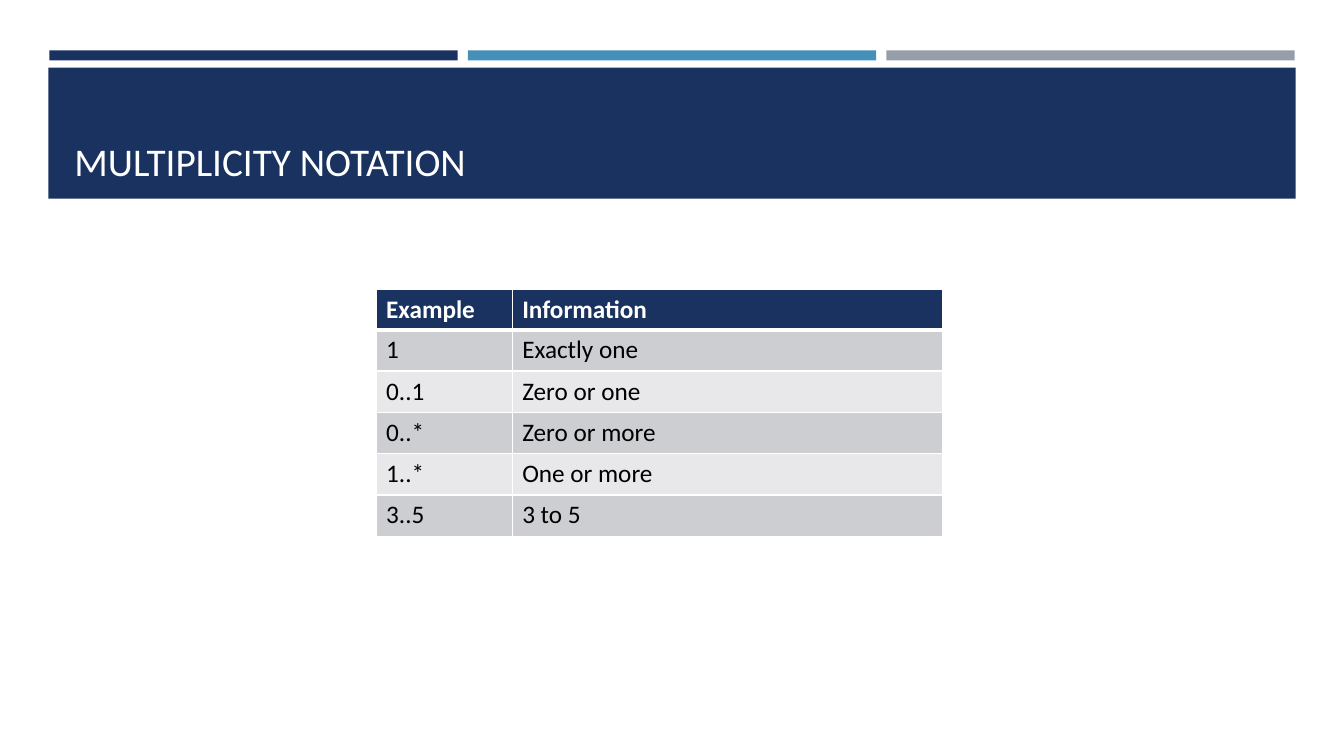
from pptx import Presentation
from pptx.dml.color import RGBColor
from pptx.enum.shapes import MSO_SHAPE
from pptx.enum.text import MSO_ANCHOR
from pptx.oxml.xmlchemy import OxmlElement
from pptx.util import Inches, Pt

NAVY = RGBColor(0x1A, 0x32, 0x60)
BLUE = RGBColor(0x45, 0x90, 0xB8)
GRAY = RGBColor(0x96, 0x9F, 0xA7)
DARK = RGBColor(0xCD, 0xCE, 0xD2)
LIGHT = RGBColor(0xE8, 0xE8, 0xEA)
WHITE = RGBColor(0xFF, 0xFF, 0xFF)
BLACK = RGBColor(0x00, 0x00, 0x00)

TITLE = "MULTIPLICITY NOTATION"
ROWS = [
    ("Example", "Information"),
    ("1", "Exactly one"),
    ("0..1", "Zero or one"),
    ("0..*", "Zero or more"),
    ("1..*", "One or more"),
    ("3..5", "3 to 5"),
]
COLS = [1.35, 4.27]
HEAD, BODY = 0.36, 0.41
STRIPS = [NAVY, BLUE, GRAY]
LEFT, STEP, WIDE = 0.49, 4.15, 4.05
FONTS = {
    "title": {"name": "Calibri", "size": Pt(28), "bold": False, "color": WHITE},
    "head": {"name": "Calibri", "size": Pt(18), "bold": True, "color": WHITE},
    "body": {"name": "Calibri", "size": Pt(18), "bold": False, "color": BLACK},
}


def write(frame, text, style):
    run = frame.paragraphs[0].add_run()
    run.text = text
    for key, value in FONTS[style].items():
        if key == "color":
            run.font.color.rgb = value
        else:
            setattr(run.font, key, value)


def block(slide, box, color):
    shape = slide.shapes.add_shape(MSO_SHAPE.RECTANGLE, *map(Inches, box))
    shape.shadow.inherit = False
    shape.fill.solid()
    shape.fill.fore_color.rgb = color
    shape.line.fill.background()


def border(cell, sides):
    props = cell._tc.get_or_add_tcPr()
    for side, width in sides.items():
        line = OxmlElement("a:ln" + side)
        line.set("w", str(Pt(width)))
        fill = OxmlElement("a:solidFill")
        color = OxmlElement("a:srgbClr")
        color.set("val", str(WHITE))
        fill.append(color)
        line.append(fill)
        props.append(line)


def main():
    deck = Presentation()
    deck.slide_width, deck.slide_height = Inches(13.33), Inches(7.5)
    slide = deck.slides.add_slide(deck.slide_layouts[6])

    for i, color in enumerate(STRIPS):
        block(slide, (LEFT + i * STEP, 0.5, WIDE, 0.1), color)
    block(slide, (0.48, 0.67, 12.37, 1.3), NAVY)

    title = slide.shapes.add_textbox(*map(Inches, (0.64, 0.77, 12.06, 1.11)))
    title.text_frame.word_wrap = True
    title.text_frame.vertical_anchor = MSO_ANCHOR.BOTTOM
    write(title.text_frame, TITLE, "title")

    spot = map(Inches, (3.73, 2.87, sum(COLS), 2.43))
    table = slide.shapes.add_table(len(ROWS), len(COLS), *spot).table
    for col, width in zip(table.columns, COLS):
        col.width = Inches(width)
    for r, texts in enumerate(ROWS):
        table.rows[r].height = Inches(BODY if r else HEAD)
        fill = (DARK if r % 2 else LIGHT) if r else NAVY
        sides = {"L": 1, "R": 1, "T": 3 if r == 1 else 1, "B": 1 if r else 3}
        for c, text in enumerate(texts):
            cell = table.cell(r, c)
            border(cell, sides)
            cell.fill.solid()
            cell.fill.fore_color.rgb = fill
            write(cell.text_frame, text, "body" if r else "head")

    deck.save("out.pptx")


if __name__ == "__main__":
    main()
